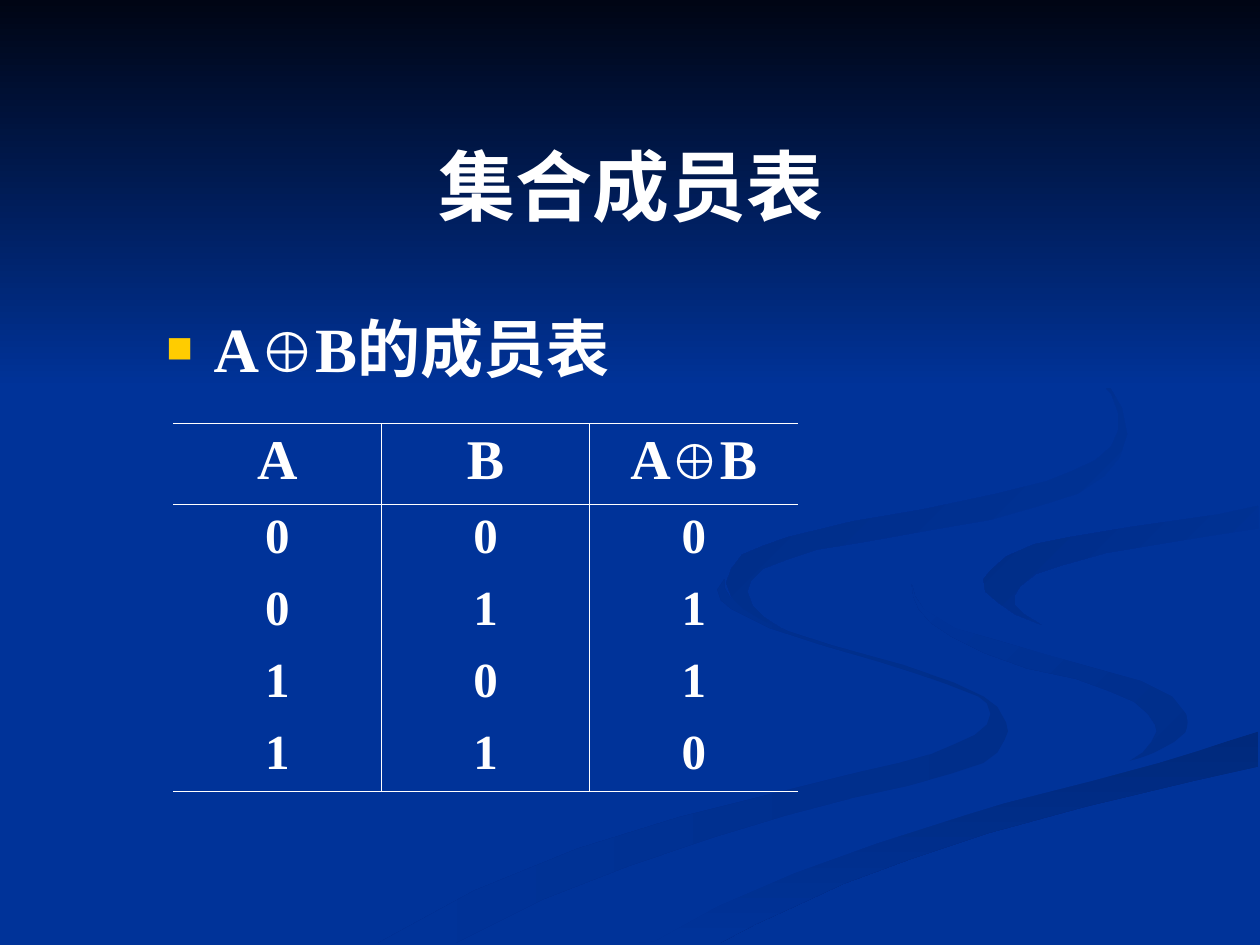
from lxml.etree import SubElement
from pptx import Presentation
from pptx.dml.color import RGBColor
from pptx.enum.text import MSO_ANCHOR, PP_ALIGN
from pptx.oxml import parse_xml
from pptx.oxml.ns import nsdecls, qn
from pptx.util import Pt

BLUE, WHITE, GOLD = "003399", "FFFFFF", "FFCC00"
SERIF, SANS = "Times New Roman", "Arial"

SKY = [(0, 0), (0, 222), (720, 222), (720, 0)]
LEFT_STREAM = [
    (562, 398), (545, 390), (516, 380), (476, 369), (451, 361), (433, 353),
    (423, 346), (417, 341), (414, 336), (414, 331), (410, 337), (412, 343),
    (418, 348), (428, 353), (440, 359), (471, 369), (502, 378), (524, 385),
    (541, 391), (559, 398), (564, 402), (566, 408), (564, 414), (557, 420),
    (546, 425), (532, 431), (514, 436), (492, 441), (444, 453), (388, 467),
    (330, 485), (271, 509), (216, 539), (260, 539), (310, 514), (359, 495),
    (406, 479), (449, 466), (487, 456), (519, 449), (544, 442), (562, 436),
    (570, 430), (574, 423), (576, 418), (575, 413), (570, 404)]
RIGHT_BEND = [
    (679, 410), (676, 405), (670, 398), (652, 389), (626, 382), (598, 374),
    (570, 366), (546, 359), (528, 348), (523, 341), (521, 334), (522, 341),
    (525, 348), (532, 356), (544, 364), (562, 373), (587, 382), (615, 388),
    (634, 395), (648, 401), (656, 408), (660, 414), (661, 418), (658, 424),
    (653, 430), (644, 436), (660, 430), (671, 424), (678, 418)]
LOWER_BANK = [
    (374, 538), (362, 539), (411, 539), (432, 528), (454, 518), (482, 505),
    (520, 491), (565, 476), (620, 461), (683, 446), (719, 438), (719, 418),
    (703, 423), (684, 429), (662, 436), (624, 446), (574, 459), (550, 466),
    (501, 482), (454, 499), (410, 518)]
RIGHT_STREAM = [
    (522, 334), (524, 341), (528, 348), (546, 359), (571, 366), (598, 374),
    (627, 382), (652, 389), (670, 398), (678, 408), (679, 414), (677, 420),
    (670, 425), (656, 432), (634, 438), (607, 445), (562, 456), (507, 472),
    (446, 492), (379, 521), (343, 539), (362, 539), (374, 538), (410, 518),
    (454, 499), (501, 482), (551, 466), (574, 459), (625, 446), (662, 436),
    (685, 429), (703, 423), (719, 418), (719, 387), (701, 384), (678, 379),
    (651, 374), (624, 366), (599, 359), (579, 349), (566, 341), (562, 333),
    (566, 326), (576, 318), (592, 312), (612, 307), (647, 301), (697, 294),
    (719, 289), (719, 279), (693, 284), (662, 289), (613, 296), (582, 300),
    (554, 307), (534, 316), (526, 323), (522, 330)]
UPPER_BANK = [
    (562, 331), (563, 338), (570, 344), (580, 351), (595, 357), (585, 351),
    (580, 346), (580, 340), (583, 335), (592, 328), (607, 323), (632, 316),
    (674, 309), (699, 305), (719, 302), (719, 289), (696, 294), (647, 301),
    (611, 307), (591, 311), (575, 318), (566, 326)]
TOP_BEND = [
    (492, 310), (531, 303), (566, 297), (594, 289), (616, 282), (631, 272),
    (640, 261), (644, 248), (641, 233), (634, 221), (622, 210), (607, 198),
    (583, 184), (562, 173), (549, 168), (580, 183), (609, 201), (626, 215),
    (635, 225), (639, 236), (639, 246), (635, 255), (626, 263), (613, 269),
    (598, 275), (570, 282), (528, 291), (487, 298), (450, 307), (436, 312),
    (424, 317), (418, 325), (415, 333), (418, 341), (425, 348), (435, 354),
    (448, 360), (437, 353), (430, 346), (427, 338), (429, 332), (436, 325),
    (449, 320), (467, 314)]

BACKDROP = [
    (LEFT_STREAM, "002E8A", BLUE, 180),
    (RIGHT_BEND, "002E8A", BLUE, 225),
    (LOWER_BANK, "00297C", BLUE, 90),
    (RIGHT_STREAM, BLUE, BLUE, 0),
    (UPPER_BANK, BLUE, "002C85", 225),
    (TOP_BEND, BLUE, "002B81", 225),
    (SKY, "000514", BLUE, 90),
]
ROWS = [("A", "B", "A⊕B"), ("0", "0", "0"), ("0", "1", "1"),
        ("1", "0", "1"), ("1", "1", "0")]


def rgb(color):
    """Turn a hex string into a colour."""
    return RGBColor.from_string(color)


def add_outline(slide, points, start, end, angle):
    """Draw a closed outline, shaded clockwise from start to end colour."""
    builder = slide.shapes.build_freeform(*points[0], scale=Pt(1))
    builder.add_line_segments(points[1:], close=True)
    sp = builder.convert_to_shape()
    sp.shadow.inherit = False
    sp.line.fill.background()
    if start == end:
        sp.fill.solid()
        sp.fill.fore_color.rgb = rgb(start)
        return
    sp.fill.gradient()
    sp.fill.gradient_angle = (360 - angle) % 360
    for stop, color, position in zip(sp.fill.gradient_stops, (start, end), (0, 1)):
        stop.color.rgb = rgb(color)
        stop.position = position


def write(p, text, size, align=PP_ALIGN.LEFT, color=WHITE):
    """Write bold text, with its ⊕ sign smaller and sans serif."""
    p.alignment = align
    before, sign, after = text.partition("⊕")
    for part in filter(None, (before, sign, after)):
        r = p.add_run()
        r.text = part
        r.font.bold = True
        r.font.color.rgb = rgb(color)
        r.font.name = SANS if part == "⊕" else SERIF
        r.font.size = Pt(size - 4 if part == "⊕" else size)


def add_bullet(p, char, color, percent, indent):
    """Give a paragraph a coloured bullet with a hanging indent."""
    pPr = p._p.get_or_add_pPr()
    pPr.set("marL", str(Pt(indent)))
    pPr.set("indent", str(-Pt(indent)))
    SubElement(SubElement(pPr, qn("a:buClr")), qn("a:srgbClr"), val=color)
    SubElement(pPr, qn("a:buSzPct"), val=str(percent * 1000))
    SubElement(pPr, qn("a:buFont"), typeface=SANS)
    SubElement(pPr, qn("a:buChar"), char=char)


def add_text(slide, text, box, size, align=PP_ALIGN.LEFT,
             anchor=MSO_ANCHOR.TOP, bullet=None):
    """Add a text box with one paragraph."""
    tf = slide.shapes.add_textbox(*map(Pt, box)).text_frame
    tf.word_wrap = True
    tf.vertical_anchor = anchor
    p = tf.paragraphs[0]
    if bullet:
        add_bullet(p, *bullet)
    write(p, text, size, align)


def set_borders(cell, shown, color=WHITE, width=0.45):
    """Draw the shown sides of a cell and hide the others."""
    tcPr = cell._tc.get_or_add_tcPr()
    for i, side in enumerate("LRTB"):
        paint = (f'<a:solidFill><a:srgbClr val="{color}"/></a:solidFill>'
                 if side in shown else "<a:noFill/>")
        tcPr.insert(i, parse_xml(
            f'<a:ln{side} {nsdecls("a")} w="{Pt(width)}">{paint}</a:ln{side}>'))


def add_membership_table(slide, rows, left, top, col_width, head_height, row_height):
    """Add a table ruled around its header, below and between columns."""
    n, m = len(rows), len(rows[0])
    height = head_height + row_height * (n - 1)
    table = slide.shapes.add_table(n, m, Pt(left), Pt(top), Pt(col_width * m),
                                   Pt(height)).table
    table.first_row = table.horz_banding = False
    for column in table.columns:
        column.width = Pt(col_width)
    for i, row in enumerate(rows):
        table.rows[i].height = Pt(row_height if i else head_height)
        for j, text in enumerate(row):
            cell = table.cell(i, j)
            cell.fill.background()
            write(cell.text_frame.paragraphs[0], text, 28 if i else 32, PP_ALIGN.CENTER)
            rules = {"L": j > 0, "R": j < m - 1, "T": i < 2, "B": i in (0, n - 1)}
            set_borders(cell, [side for side, on in rules.items() if on])


def main():
    """Build the slide and save it."""
    prs = Presentation()
    prs.slide_width, prs.slide_height = Pt(720), Pt(540)
    slide = prs.slides.add_slide(prs.slide_layouts[6])
    slide.background.fill.solid()
    slide.background.fill.fore_color.rgb = rgb(BLUE)
    for outline in BACKDROP:
        add_outline(slide, *outline)
    add_text(slide, "集合成员表", (36.5, 60.5, 648, 90), 44,
             align=PP_ALIGN.CENTER, anchor=MSO_ANCHOR.MIDDLE)
    add_text(slide, "A⊕B的成员表", (88, 173.5, 286.5, 51), 36,
             bullet=("■", GOLD, 70, 27))
    add_membership_table(slide, ROWS, 99, 242, 119, 46, 41)
    prs.save("out.pptx")


if __name__ == "__main__":
    main()
